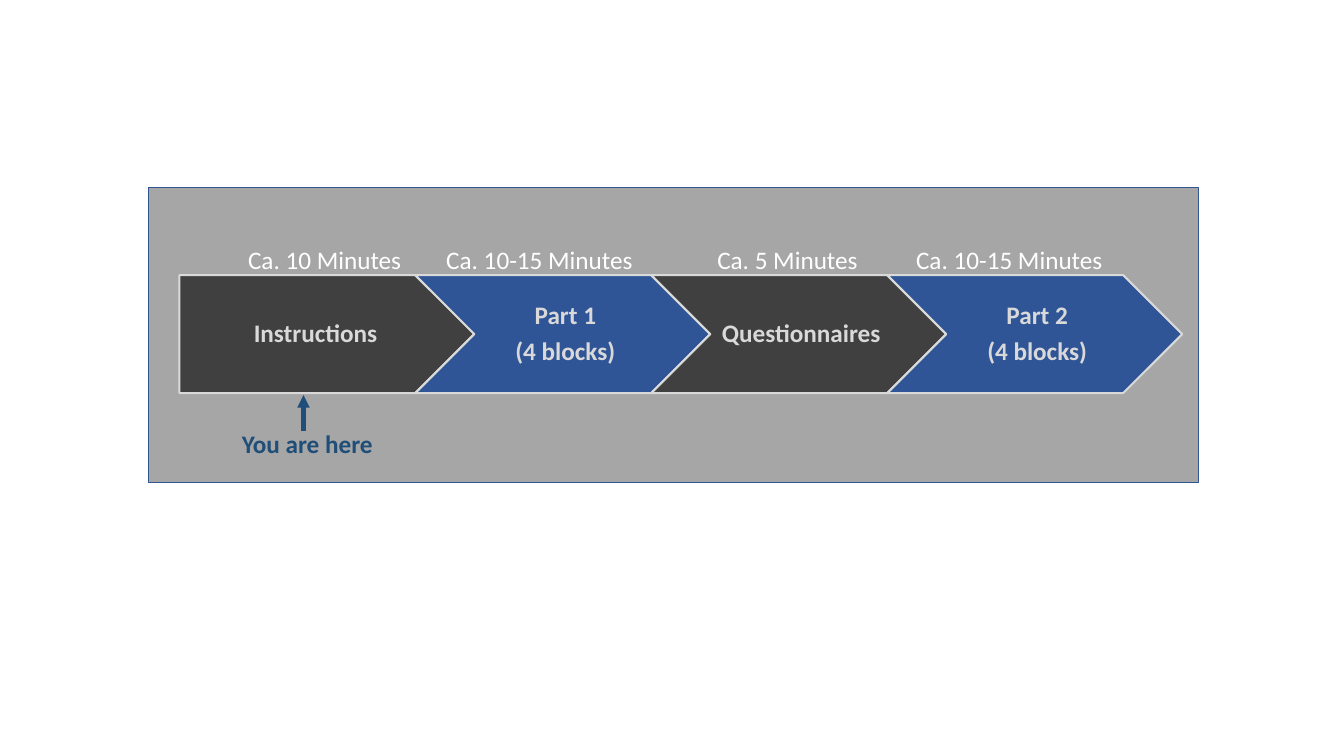
from lxml.etree import SubElement
from pptx import Presentation
from pptx.dml.color import RGBColor
from pptx.enum.shapes import MSO_CONNECTOR, MSO_SHAPE
from pptx.enum.text import MSO_ANCHOR, PP_ALIGN
from pptx.oxml.ns import qn
from pptx.util import Inches, Pt

COLORS = {
    "panel": "A6A6A6", "panel edge": "325491", "dark": "404040",
    "blue": "2F5597", "light": "D9D9D9", "white": "FFFFFF", "marker": "1F4E79",
}


def rgb(name):
    return RGBColor.from_string(COLORS[name])


def write(holder, text, color="white", bold=False, align=PP_ALIGN.CENTER,
          anchor=MSO_ANCHOR.MIDDLE, wrap=True, insets=(0.1, 0.05, 0.1, 0.05),
          line_spacing=1.0, space_after=0):
    frame = holder.text_frame
    frame.word_wrap = wrap
    frame.vertical_anchor = anchor
    (frame.margin_left, frame.margin_top,
     frame.margin_right, frame.margin_bottom) = map(Inches, insets)
    for index, line in enumerate(text.split("\n")):
        paragraph = frame.add_paragraph() if index else frame.paragraphs[0]
        paragraph.alignment = align
        paragraph.line_spacing = line_spacing
        paragraph.space_after = Pt(space_after)
        run = paragraph.add_run()
        run.text = line
        run.font.name = "Calibri"
        run.font.size = Pt(18)
        run.font.bold = bold
        run.font.color.rgb = rgb(color)


prs = Presentation()
prs.slide_width, prs.slide_height = Inches(13.33), Inches(7.5)
slide = prs.slides.add_slide(prs.slide_layouts[6])
shapes = slide.shapes

# Grid: each stage starts one column after the last and overlaps it by its tip
left, top = 1.78, 2.73
column, row = 2.34, 1.17
stage_width = column + row / 2

# Grey panel
panel = shapes.add_shape(MSO_SHAPE.RECTANGLE, Inches(1.47), Inches(1.86),
                         Inches(10.42), Inches(2.93))
panel.shadow.inherit = False
panel.fill.solid()
panel.fill.fore_color.rgb = rgb("panel")
panel.line.color.rgb = rgb("panel edge")
panel.line.width = Pt(1)

# Stages with their durations: text, fill, duration, centre of the duration
stages = [
    ("Instructions", "dark", "Ca. 10 Minutes", 3.22),
    ("Part 1\n(4 blocks)", "blue", "Ca. 10-15 Minutes", 5.35),
    ("Questionnaires", "dark", "Ca. 5 Minutes", 7.81),
    ("Part 2\n(4 blocks)", "blue", "Ca. 10-15 Minutes", 10.01),
]
duration_width, duration_height = 2.12, 0.22
for index, (title, fill, minutes, centre) in enumerate(stages):
    outline = MSO_SHAPE.CHEVRON if index else MSO_SHAPE.PENTAGON
    stage = shapes.add_shape(outline, Inches(left + index * column), Inches(top),
                             Inches(stage_width), Inches(row))
    stage.shadow.inherit = False
    stage.fill.solid()
    stage.fill.fore_color.rgb = rgb(fill)
    stage.line.color.rgb = rgb("light")
    stage.line.width = Pt(1.5)
    write(stage, title, color="light", bold=True, line_spacing=0.9, space_after=6.3,
          insets=(0.08 if index else 0.1, 0.05, 0.03, 0.05))

    duration = shapes.add_textbox(Inches(centre - duration_width / 2), Inches(2.46),
                                  Inches(duration_width), Inches(duration_height))
    write(duration, minutes)

# Marker of the current stage
pointer = shapes.add_connector(MSO_CONNECTOR.STRAIGHT, Inches(3.01), Inches(4.28),
                               Inches(3.01), Inches(3.92))
pointer.line.color.rgb = rgb("marker")
pointer.line.width = Pt(3)
SubElement(pointer.line._get_or_add_ln(), qn("a:tailEnd"), type="triangle")
SubElement(pointer._element.spPr, qn("a:effectLst"))

here = shapes.add_textbox(Inches(2.3), Inches(4.2), Inches(1.51), Inches(0.4))
write(here, "You are here", color="marker", bold=True, align=PP_ALIGN.LEFT,
      anchor=MSO_ANCHOR.TOP, wrap=False)

prs.save("out.pptx")
